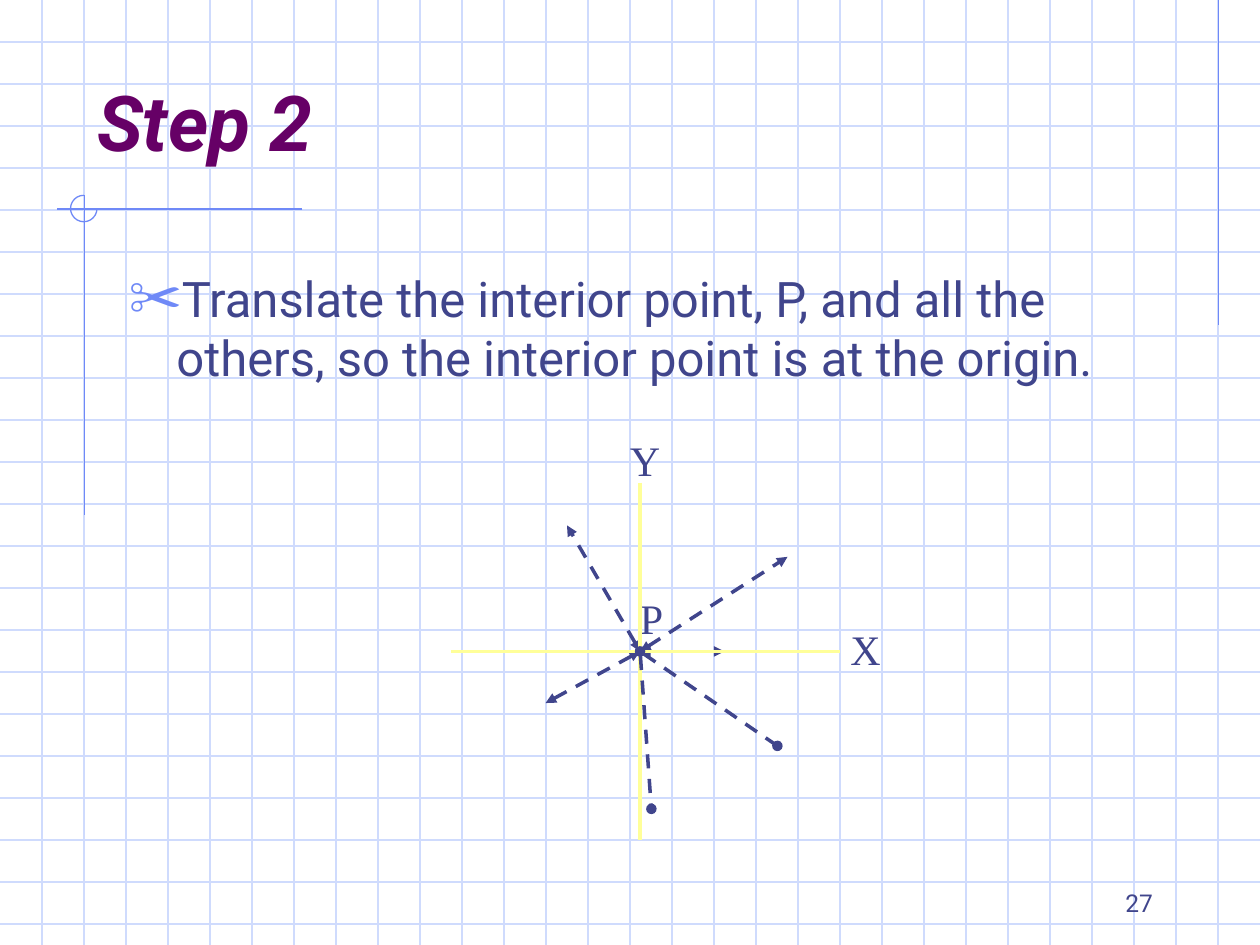
import pptx
import pptx.util
import pptx.dml.color
import pptx.enum.dml
import pptx.enum.shapes
import pptx.enum.text
import pptx.oxml
import pptx.oxml.ns
from lxml import etree

Inches = pptx.util.Inches
RGBColor = pptx.dml.color.RGBColor
Anchor = pptx.enum.text.MSO_ANCHOR
Align = pptx.enum.text.PP_ALIGN

GRID = RGBColor(0xCF, 0xDB, 0xFD)
ACCENT = RGBColor(0x6F, 0x89, 0xF7)
INK = RGBColor(0x40, 0x45, 0x8C)
PURPLE = RGBColor(0x66, 0x00, 0x66)
YELLOW = RGBColor(0xFF, 0xFF, 0x99)

WIDTH, HEIGHT = 10, 7.5
ORIGIN = (5.08, 5.17)
TITLE_FONT = {"name": "Roboto", "size": 44, "bold": True, "italic": True, "color": PURPLE}
BODY_FONT = {"name": "Roboto", "size": 28, "color": INK}
NUMBER_FONT = {"name": "Roboto", "size": 14, "color": INK}
LABEL_FONT = {"name": "Times New Roman", "size": 24, "color": INK}


def add_line(shapes, start, end, color, width=0.75):
    line = shapes.add_connector(
        pptx.enum.shapes.MSO_CONNECTOR.STRAIGHT, *map(Inches, start + end))
    line.line.color.rgb = color
    line.line.width = pptx.util.Pt(width)
    etree.SubElement(line.element.spPr, pptx.oxml.ns.qn("a:effectLst"))
    return line


def add_vector(shapes, start, end, tip):
    """Draw a dashed line with the same tip at both ends."""
    vector = add_line(shapes, start, end, INK, 2)
    vector.line.dash_style = pptx.enum.dml.MSO_LINE.DASH
    outline = vector.line._get_or_add_ln()
    for tag in ("a:headEnd", "a:tailEnd"):
        etree.SubElement(outline, pptx.oxml.ns.qn(tag), type=tip)


def place(shape, left, top, width, height):
    box = {"left": left, "top": top, "width": width, "height": height}
    for name, value in box.items():
        setattr(shape, name, Inches(value))


def set_text(shape, text, font, **frame_format):
    frame = shape.text_frame
    frame.text = text
    frame_format = {"word_wrap": True, "auto_size": pptx.enum.text.MSO_AUTO_SIZE.NONE,
                    "vertical_anchor": Anchor.TOP} | frame_format
    for name, value in frame_format.items():
        setattr(frame, name, value)
    para = frame.paragraphs[0]
    para.alignment = Align.LEFT
    span = para.runs[0]
    for name, value in font.items():
        if name == "color":
            span.font.color.rgb = value
        else:
            setattr(span.font, name, pptx.util.Pt(value) if name == "size" else value)
    return para


def add_label(shapes, text, left, top, width):
    box = shapes.add_textbox(*map(Inches, (left, top, width, 0.5)))
    set_text(box, text, LABEL_FONT, word_wrap=False,
             auto_size=pptx.enum.text.MSO_AUTO_SIZE.SHAPE_TO_FIT_TEXT)


def set_bullet(para, char, color, percent):
    para.space_before = 0
    properties = para._p.get_or_add_pPr()
    properties.set("marL", str(Inches(0.38)))
    properties.set("indent", str(-Inches(0.38)))
    namespace = pptx.oxml.ns.nsdecls("a")
    for markup in (f'<a:buClr {namespace}><a:srgbClr val="{color}"/></a:buClr>',
                   f'<a:buSzPct {namespace} val="{percent * 1000}"/>',
                   f'<a:buChar {namespace} char="{char}"/>'):
        properties.append(pptx.oxml.parse_xml(markup))


def add_graph_paper(slide):
    shapes = slide.shapes.add_group_shape().shapes
    for row in range(1, 23):
        add_line(shapes, (0, row / 3), (WIDTH, row / 3), GRID)
    for column in range(1, 30):
        add_line(shapes, (column / 3, 0), (column / 3, HEIGHT), GRID)
    add_line(shapes, (9.67, 0), (9.67, 2.58), ACCENT)
    add_line(shapes, (2.4, 1.66), (0.45, 1.66), ACCENT)
    add_line(shapes, (0.67, 1.55), (0.67, 4.09), ACCENT)
    arc = shapes.add_shape(pptx.enum.shapes.MSO_SHAPE.ARC,
                           *map(Inches, (0.56, 1.55, 0.21, 0.21)))
    arc.adjustments[0] = 0
    arc.adjustments[1] = 162  # 270 degrees
    arc.shadow.inherit = False
    arc.fill.background()
    arc.line.color.rgb = ACCENT
    arc.line.width = pptx.util.Pt(0.75)


def add_page_number(slide, number):
    box = slide.shapes.add_textbox(*map(Inches, (7.17, 6.83, 2.08, 0.5)))
    para = set_text(box, number, NUMBER_FONT, vertical_anchor=Anchor.BOTTOM)
    para.alignment = Align.RIGHT


def fill_placeholders(slide):
    title, body = slide.placeholders
    for holder in (title, body):
        holder.element.getparent().append(holder.element)  # in front of the grid
    place(title, 0.67, 0.33, 8.5, 1.25)
    set_text(title, "Step 2", TITLE_FONT, vertical_anchor=Anchor.MIDDLE)
    place(body, 0.92, 2.08, 8.5, 4.5)
    para = set_text(body, "Translate the interior point, P, and all the others, "
                    "so the interior point is at the origin.", BODY_FONT)
    set_bullet(para, "✂", ACCENT, 110)


def add_diagram(slide):
    shapes = slide.shapes
    for end in ((6.25, 4.42), (4.5, 4.17), (5.75, 5.17), (4.33, 5.58)):
        add_vector(shapes, ORIGIN, end, "triangle")
    add_vector(shapes, ORIGIN, (6.17, 5.92), "oval")
    add_label(shapes, "P", 4.98, 4.65, 0.39)
    add_line(shapes, (ORIGIN[0], 3.83), (ORIGIN[0], 6.67), YELLOW, 2)
    add_line(shapes, (3.58, ORIGIN[1]), (6.67, ORIGIN[1]), YELLOW, 2)
    add_label(shapes, "X", 6.65, 4.9, 0.44)
    add_label(shapes, "Y", 4.9, 3.4, 0.44)
    add_vector(shapes, ORIGIN, (5.17, 6.42), "oval")


def main():
    deck = pptx.Presentation()
    deck.slide_width, deck.slide_height = Inches(WIDTH), Inches(HEIGHT)
    slide = deck.slides.add_slide(deck.slide_layouts[1])
    add_graph_paper(slide)
    add_page_number(slide, "27")
    fill_placeholders(slide)
    add_diagram(slide)
    deck.save("out.pptx")


if __name__ == "__main__":
    main()
